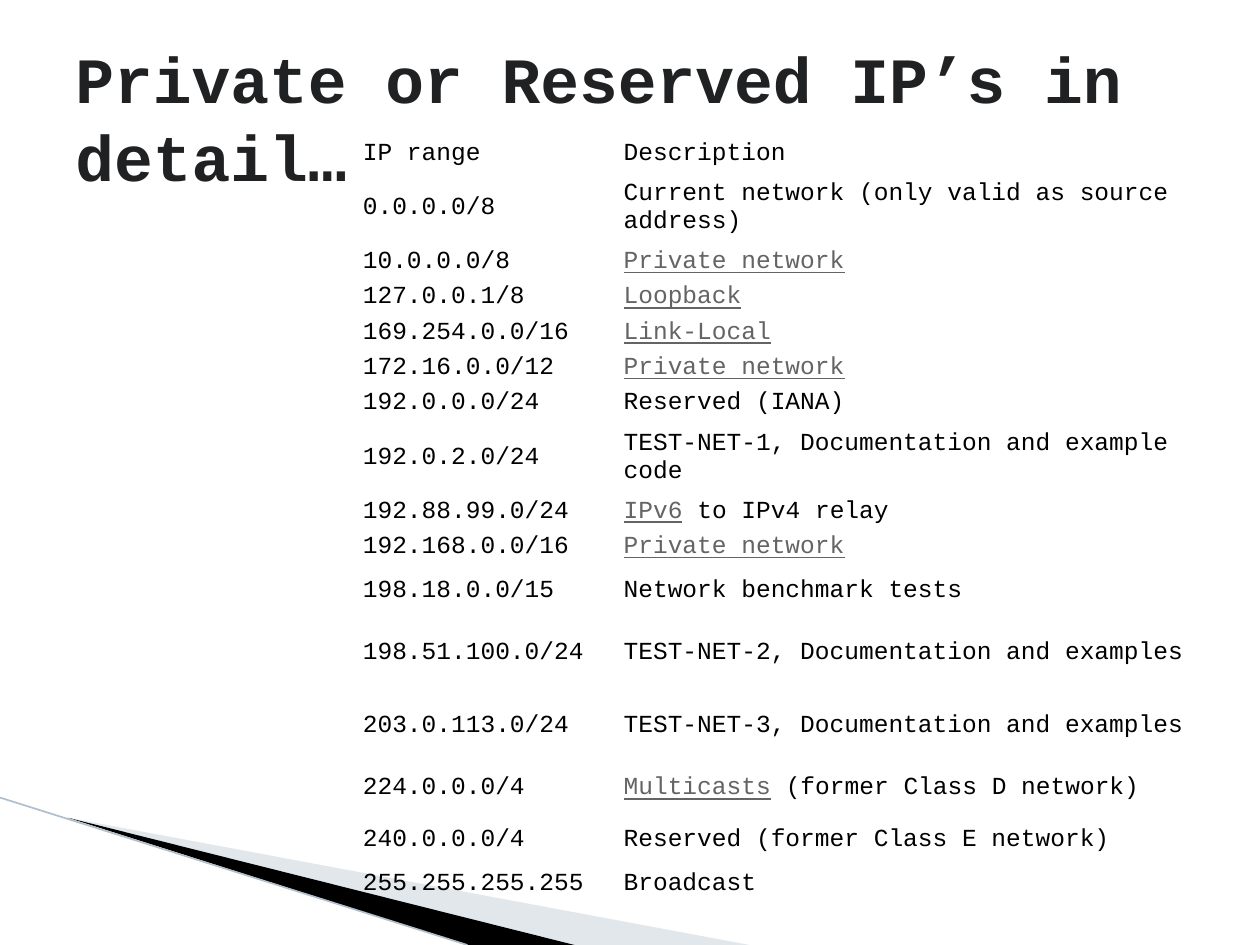
from lxml.etree import SubElement
from pptx import Presentation
from pptx.dml.color import RGBColor
from pptx.enum.shapes import MSO_CONNECTOR as CONNECTOR
from pptx.enum.text import MSO_ANCHOR as ANCHOR
from pptx.oxml.ns import qn
from pptx.util import Inches, Pt

WIDTH, HEIGHT = 10, 7.5
FONT = "Courier New"
INK, LINK, TITLE_INK = "000000", "646464", "1F2123"
PALE, EDGE = "B7C4D0", "B1BECB"
NO_STYLE = "{2D5ABB26-0587-4C30-8999-92F81FD0307C}"

# Row heights in inches
LOW, MID, TALL = 0.23, 0.41, 0.58

# Range, description as (words, is_term) pieces, row height
RANGES = [
    ("IP range", [("Description", False)], LOW),
    ("0.0.0.0/8", [("Current network (only valid as source address)", False)], TALL),
    ("10.0.0.0/8", [("Private network", True)], LOW),
    ("127.0.0.1/8", [("Loopback", True)], LOW),
    ("169.254.0.0/16", [("Link-Local", True)], LOW),
    ("172.16.0.0/12", [("Private network", True)], LOW),
    ("192.0.0.0/24", [("Reserved (IANA)", False)], LOW),
    ("192.0.2.0/24", [("TEST-NET-1, Documentation and example code", False)], TALL),
    ("192.88.99.0/24", [("IPv6", True), (" to IPv4 relay", False)], LOW),
    ("192.168.0.0/16", [("Private network", True)], LOW),
    ("198.18.0.0/15", [("Network benchmark tests", False)], MID),
    ("198.51.100.0/24", [("TEST-NET-2, Documentation and examples", False)], TALL),
    ("203.0.113.0/24", [("TEST-NET-3, Documentation and examples", False)], TALL),
    ("224.0.0.0/4", [("Multicasts", True), (" (former Class D network)", False)], MID),
    ("240.0.0.0/4", [("Reserved (former Class E network)", False)], MID),
    ("255.255.255.255", [("Broadcast", False)], LOW),
]


def paint(color_format, color):
    color_format.rgb = RGBColor.from_string(color)


def set_font(font, size, color, bold=False):
    font.name, font.size, font.bold = FONT, Pt(size), bold
    paint(font.color, color)


def add_wedge(slide, points, color, alpha=None):
    (x, y), *rest = [(Inches(px), Inches(py)) for px, py in points]
    builder = slide.shapes.build_freeform(x, y)
    builder.add_line_segments(rest, close=True)
    wedge = builder.convert_to_shape()
    wedge.shadow.inherit = False
    wedge.fill.solid()
    paint(wedge.fill.fore_color, color)
    wedge.line.fill.background()
    if alpha is not None:
        tint = wedge.fill._xPr.find(".//" + qn("a:srgbClr"))
        SubElement(tint, qn("a:alpha")).set("val", str(alpha * 1000))


def add_corner(slide, left, top, bottom):
    """Slanted wedges and edge line across the lower left corner."""
    tip = left + 0.54, top + 0.16
    add_wedge(slide, [tip, (left + 5.95, bottom), (left + 4.56, bottom)], PALE, 40)
    add_wedge(slide, [tip, (left + 4.56, bottom), (left + 3.71, bottom)], INK)
    edge = slide.shapes.add_connector(
        CONNECTOR.STRAIGHT, Inches(left), Inches(top),
        Inches(left + 3.71), Inches(bottom))
    edge.line.width = Pt(0.95)
    paint(edge.line.color, EDGE)
    SubElement(edge._element.spPr, qn("a:effectLst"))


def fill_cell(cell, pieces):
    cell.fill.background()
    cell.vertical_anchor = ANCHOR.MIDDLE
    cell.margin_left = cell.margin_right = Inches(0.05)
    cell.margin_top = cell.margin_bottom = Inches(0.03)
    paragraph = cell.text_frame.paragraphs[0]
    set_font(paragraph.font, 14, INK)
    for words, is_term in pieces:
        run = paragraph.add_run()
        run.text = words
        set_font(run.font, 14, LINK if is_term else INK)
        run.font.underline = is_term


def add_ranges(slide, left, top, width):
    """Table of address ranges and what each is reserved for."""
    heights = [height for _, _, height in RANGES]
    table = slide.shapes.add_table(
        len(RANGES), 2, Inches(left), Inches(top),
        Inches(width), Inches(sum(heights))).table
    table.first_row = table.horz_banding = False
    table._tbl.tblPr.find(qn("a:tableStyleId")).text = NO_STYLE
    range_width = 2.07
    table.columns[0].width = Inches(range_width)
    table.columns[1].width = Inches(width - range_width)
    for index, (ip_range, description, height) in enumerate(RANGES):
        table.rows[index].height = Inches(height)
        fill_cell(table.cell(index, 0), [(ip_range, False)])
        fill_cell(table.cell(index, 1), description)


def add_title(slide, left, top, width, height):
    frame = slide.shapes.add_textbox(
        Inches(left), Inches(top), Inches(width), Inches(height)).text_frame
    frame.word_wrap = True
    frame.vertical_anchor = ANCHOR.MIDDLE
    heading = frame.paragraphs[0]
    heading.text = "Private or Reserved IP’s in detail…"
    set_font(heading.font, 36.9, TITLE_INK, bold=True)


def main():
    deck = Presentation()
    deck.slide_width, deck.slide_height = Inches(WIDTH), Inches(HEIGHT)
    slide = deck.slides.add_slide(deck.slide_layouts[6])
    add_corner(slide, 0, 6.33, HEIGHT)
    add_ranges(slide, 2.83, 1.08, 6.75)
    add_title(slide, WIDTH * 0.05, HEIGHT * 0.04, WIDTH * 0.9, 1.25)
    deck.save("out.pptx")


if __name__ == "__main__":
    main()
